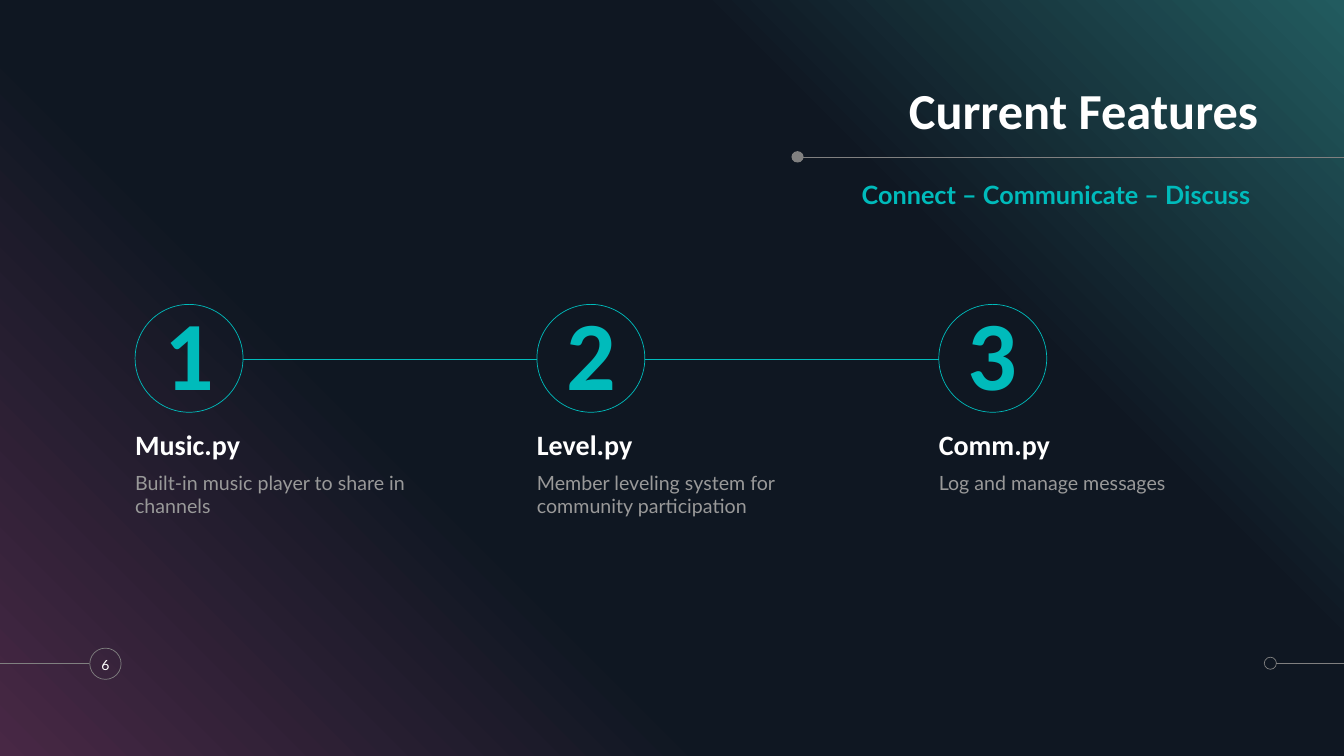
from copy import deepcopy
from dataclasses import dataclass
from itertools import pairwise

from lxml import etree
from pptx import Presentation
from pptx.dml.color import RGBColor
from pptx.enum.shapes import MSO_CONNECTOR, MSO_SHAPE
from pptx.enum.text import MSO_ANCHOR, PP_ALIGN
from pptx.oxml.ns import qn
from pptx.util import Inches, Pt

RECTANGLE, ELLIPSE = MSO_SHAPE.RECTANGLE, MSO_SHAPE.OVAL
STRAIGHT = MSO_CONNECTOR.STRAIGHT
LEFT, CENTER, RIGHT = PP_ALIGN.LEFT, PP_ALIGN.CENTER, PP_ALIGN.RIGHT
TOP, MIDDLE, BOTTOM = MSO_ANCHOR.TOP, MSO_ANCHOR.MIDDLE, MSO_ANCHOR.BOTTOM

COLORS = {
    "plum": "482845",
    "night": "0F1722",
    "pine": "225B5F",
    "teal": "00BBBB",
    "white": "FFFFFF",
    "silver": "999999",
    "gray": "808080",
}
BACKDROP_STOPS = [(0, "plum"), (0.34, "night"), (0.69, "night"), (1, "pine")]
WIDTH, HEIGHT = Inches(13.33), Inches(7.5)

# Steps grid, in percent of the slide's width
FIRST_COLUMN, COLUMN_PITCH, COLUMN_WIDTH = 10.05, 29.9, 24.16
CIRCLE_WIDTH = 8.03


@dataclass(frozen=True)
class Area:
    """A rectangle in percent of the slide's width and height."""
    left: float
    top: float
    width: float
    height: float

    def lengths(self) -> tuple[int, int, int, int]:
        return (across(self.left), down(self.top),
                across(self.width), down(self.height))


@dataclass(frozen=True)
class Style:
    size: int
    font: str
    color: str
    bold: bool = False
    align: PP_ALIGN = LEFT
    anchor: MSO_ANCHOR = TOP
    line_spacing: float = 1.0


@dataclass(frozen=True)
class Rule:
    """A horizontal line in percent of the slide's width and height."""
    start: float
    end: float
    y: float
    color: str = "gray"


@dataclass(frozen=True)
class Dot:
    area: Area
    filled: bool = False


@dataclass(frozen=True)
class Step:
    name: str
    detail: str


TITLE = Style(36, "Calibri", "white", True, RIGHT, BOTTOM, 0.9)
SUBTITLE = Style(18, "Lato", "teal", True, RIGHT)
NUMBER = Style(70, "Calibri", "teal", True, CENTER, MIDDLE, 0.9)
STEP_NAME = Style(20, "Calibri", "white", True, LEFT, BOTTOM, 0.9)
STEP_DETAIL = Style(14, "Lato", "silver")
PAGE_NUMBER = Style(10, "Lato", "white", False, CENTER, MIDDLE)

RULES = [Rule(59.56, 100, 20.8), Rule(94.97, 100, 87.73), Rule(0, 6.64, 87.77)]
DOTS = [
    Dot(Area(58.89, 20, 0.9, 1.5), filled=True),
    Dot(Area(94.07, 86.93, 0.9, 1.6)),
    Dot(Area(6.68, 85.73, 2.33, 4.13)),
]
STEPS = [
    Step("Music.py", "Built-in music player to share in channels"),
    Step("Level.py", "Member leveling system for community participation"),
    Step("Comm.py", "Log and manage messages"),
]


def across(percent: float) -> int:
    return round(WIDTH * percent / 100)


def down(percent: float) -> int:
    return round(HEIGHT * percent / 100)


def rgb(name: str) -> RGBColor:
    return RGBColor.from_string(COLORS[name])


def draw_backdrop(page) -> None:
    backdrop = page.shapes.add_shape(RECTANGLE, 0, 0, WIDTH, HEIGHT)
    backdrop.shadow.inherit = False
    backdrop.line.fill.background()
    fill = backdrop.fill
    fill.gradient()
    fill.gradient_angle = 45
    stop_list = next(backdrop._element.iter(qn("a:gsLst")))
    for _ in BACKDROP_STOPS[2:]:
        stop_list.append(deepcopy(stop_list[0]))
    for stop, (position, color) in zip(fill.gradient_stops, BACKDROP_STOPS):
        stop.position = position
        stop.color.rgb = rgb(color)


def draw_rule(page, rule: Rule) -> None:
    y = down(rule.y)
    line = page.shapes.add_connector(
        STRAIGHT, across(rule.start), y, across(rule.end), y)
    line.line.color.rgb = rgb(rule.color)
    line.line.width = Pt(0.5)
    etree.SubElement(line._element.spPr, qn("a:effectLst"))


def draw_circle(page, area: Area, color: str, filled: bool = False):
    circle = page.shapes.add_shape(ELLIPSE, *area.lengths())
    circle.shadow.inherit = False
    if filled:
        circle.fill.solid()
        circle.fill.fore_color.rgb = rgb(color)
        circle.line.fill.background()
    else:
        circle.fill.background()
        circle.line.color.rgb = rgb(color)
        circle.line.width = Pt(0.5)
    return circle


def write(box, text: str, style: Style) -> None:
    frame = box.text_frame
    frame.word_wrap = True
    frame.vertical_anchor = style.anchor
    frame.margin_left = frame.margin_right = 0
    frame.margin_top = frame.margin_bottom = 0
    para = frame.paragraphs[0]
    para.text = text
    para.alignment = style.align
    para.line_spacing = style.line_spacing
    para.font.size = Pt(style.size)
    para.font.name = style.font
    para.font.bold = style.bold
    para.font.color.rgb = rgb(style.color)


def draw_text(page, area: Area, text: str, style: Style) -> None:
    write(page.shapes.add_textbox(*area.lengths()), text, style)


def draw_steps(page) -> None:
    lefts = [FIRST_COLUMN + COLUMN_PITCH * index for index in range(len(STEPS))]
    for left, following in pairwise(lefts):
        draw_rule(page, Rule(left + CIRCLE_WIDTH, following, 47.47, "teal"))
    for number, (left, step) in enumerate(zip(lefts, STEPS), start=1):
        circle = draw_circle(page, Area(left, 40.27, CIRCLE_WIDTH, 14.27), "teal")
        write(circle, str(number), NUMBER)
        draw_text(page, Area(left, 56.27, COLUMN_WIDTH, 4.8), step.name, STEP_NAME)
        draw_text(page, Area(left, 62.27, COLUMN_WIDTH, 20.67), step.detail, STEP_DETAIL)


def main() -> None:
    deck = Presentation()
    deck.slide_width, deck.slide_height = WIDTH, HEIGHT
    page = deck.slides.add_slide(deck.slide_layouts[6])
    draw_backdrop(page)
    for rule in RULES:
        draw_rule(page, rule)
    for dot in DOTS:
        draw_circle(page, dot.area, "gray", dot.filled)
    draw_text(page, Area(41.86, 10.27, 51.76, 8.27), "Current Features", TITLE)
    draw_text(page, Area(41.86, 23.73, 51.16, 8.27),
              "Connect – Communicate – Discuss", SUBTITLE)
    draw_steps(page)
    draw_text(page, Area(6.38, 85.73, 2.93, 4.4), "6", PAGE_NUMBER)
    deck.save("out.pptx")


if __name__ == "__main__":
    main()
